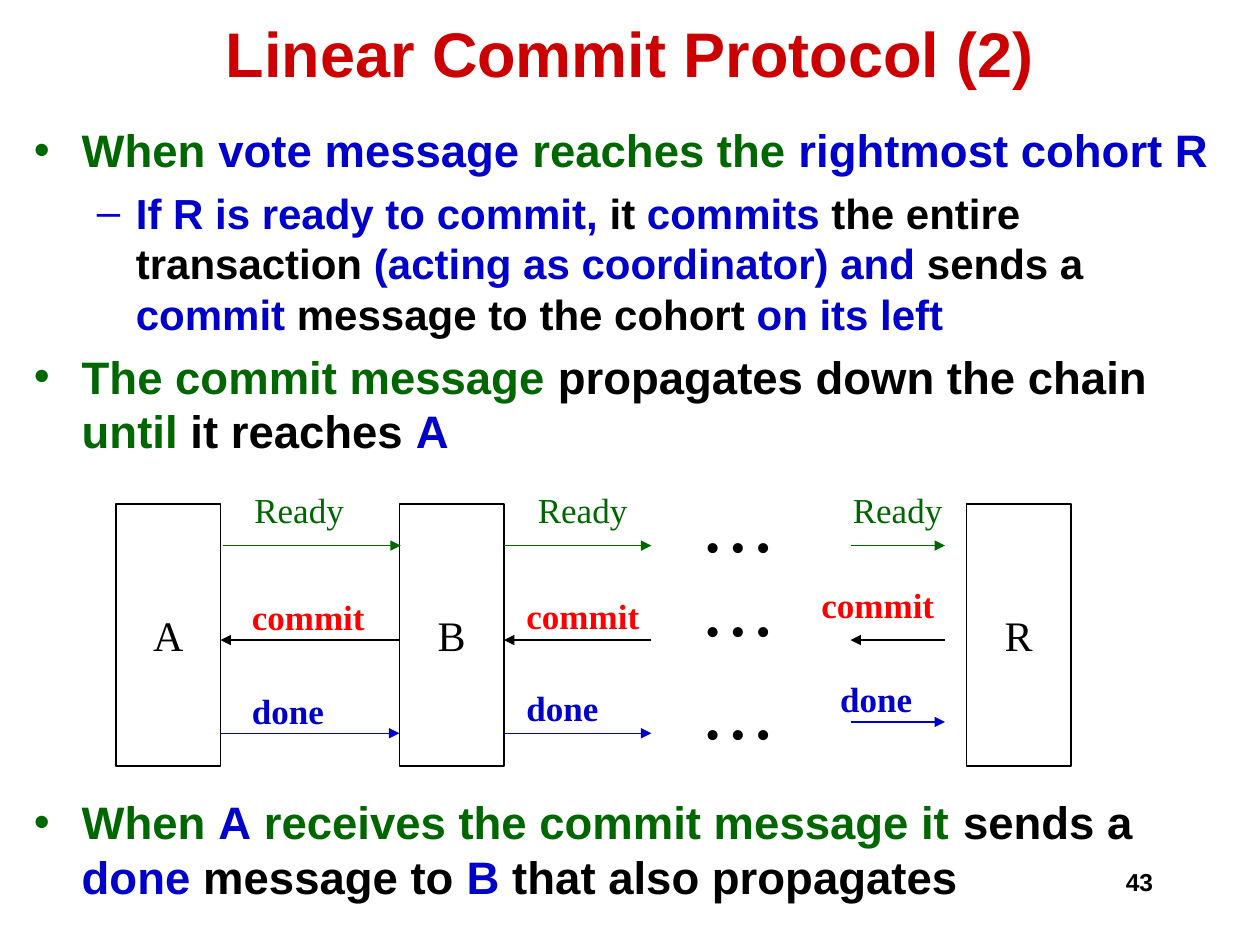
from dataclasses import dataclass

from lxml.etree import SubElement
from pptx import Presentation
from pptx.dml.color import RGBColor
from pptx.enum.shapes import MSO_CONNECTOR as Connector, MSO_SHAPE as Shape
from pptx.enum.text import MSO_ANCHOR as Anchor, MSO_AUTO_SIZE as AutoSize, PP_ALIGN as Align
from pptx.oxml.ns import qn
from pptx.util import Inches, Pt

GREEN, BLUE, BLACK, RED, TITLE_RED, WHITE = "006600", "0000CC", "000000", "FF0000", "CC0000", "FFFFFF"
SANS, SERIF = "Arial", "Times New Roman"
BOX_TOP, BOX_WIDTH, BOX_HEIGHT = 4, 0.83, 2.08


@dataclass
class Bullet:
    runs: list[tuple[str, str]]
    level: int = 0
    space_before: float = 6


@dataclass
class Label:
    left: float
    top: float


@dataclass
class Arrow:
    start: float
    end: float
    y: float


@dataclass
class MessageRow:
    text: str
    width: float
    text_color: str
    line_color: str
    bold: bool
    labels: list[Label]
    arrows: list[Arrow]
    dots_top: float


BULLETS = [
    Bullet([("When ", GREEN), ("vote message", BLUE), (" reaches the ", GREEN), ("rightmost cohort R", BLUE)]),
    Bullet([("If R is ready to commit, ", BLUE), ("it", BLACK), (" commits", BLUE),
            (" the entire transaction", BLACK), (" (acting as coordinator) and ", BLUE),
            ("sends a ", BLACK), ("commit", BLUE), (" message to the cohort ", BLACK),
            ("on its left", BLUE)], level=1),
    Bullet([("The commit message ", GREEN), ("propagates down the chain ", BLACK), ("until", GREEN),
            (" it reaches ", BLACK), ("A", BLUE)]),
    Bullet([("When ", GREEN), ("A", BLUE), (" receives the commit message it ", GREEN), ("sends a ", BLACK),
            ("done ", BLUE), ("message to ", BLACK), ("B ", BLUE), ("that also propagates", BLACK)],
           space_before=192),
]
LEVELS = [("•", 26, 0.38, -0.38), ("–", 24, 0.81, -0.31)]
SITES = {"A": 0.92, "B": 3.17, "R": 7.67}
ROWS = [
    MessageRow("Ready", 0.92, GREEN, GREEN, False,
               [Label(1.92, 3.83), Label(4.17, 3.83), Label(6.67, 3.83)],
               [Arrow(1.77, 3.18, 4.33), Arrow(4, 5.17, 4.33), Arrow(6.75, 7.5, 4.33)], 4.08),
    MessageRow("commit", 1.1, RED, BLACK, True,
               [Label(1.9, 4.68), Label(4.08, 4.67), Label(6.42, 4.58)],
               [Arrow(3.17, 1.75, 5.08), Arrow(5.17, 4, 5.08), Arrow(7.5, 6.75, 5.08)], 4.75),
    MessageRow("done", 0.78, BLUE, BLUE, True,
               [Label(1.9, 5.42), Label(4.08, 5.4), Label(6.57, 5.33)],
               [Arrow(1.75, 3.17, 5.82), Arrow(4, 5.17, 5.82), Arrow(6.75, 7.5, 5.73)], 5.57),
]


def rgb(color: str) -> RGBColor:
    """Turn a hex string into a colour."""
    return RGBColor.from_string(color)


def set_font(font, name: str, size: float, color: str, bold: bool = False) -> None:
    """Set the look of a font."""
    font.name, font.size, font.bold = name, Pt(size), bold
    font.color.rgb = rgb(color)


def add_text(slide, text: str, left: float, top: float, width: float, height: float,
             size: float, color: str, bold: bool = False, font: str = SERIF, align=Align.LEFT) -> None:
    """Add a one-line text box."""
    frame = slide.shapes.add_textbox(Inches(left), Inches(top), Inches(width), Inches(height)).text_frame
    frame.auto_size = AutoSize.NONE
    frame.word_wrap = align == Align.RIGHT
    paragraph = frame.paragraphs[0]
    paragraph.text, paragraph.alignment = text, align
    set_font(paragraph.font, font, size, color, bold)


def add_bullets(slide, bullets: list[Bullet]) -> None:
    """Add the bulleted body text."""
    frame = slide.shapes.add_textbox(Inches(0.17), Inches(0.92), Inches(9.58), Inches(6.58)).text_frame
    frame.word_wrap = True
    for index, bullet in enumerate(bullets):
        paragraph = frame.add_paragraph() if index else frame.paragraphs[0]
        mark, size, margin, indent = LEVELS[bullet.level]
        paragraph.level = bullet.level
        paragraph.space_before = Pt(bullet.space_before)
        properties = paragraph._p.get_or_add_pPr()
        properties.set("marL", str(Inches(margin)))
        properties.set("indent", str(Inches(indent)))
        SubElement(properties, qn("a:buFont")).set("typeface", SANS)
        SubElement(properties, qn("a:buChar")).set("char", mark)
        for text, color in bullet.runs:
            run = paragraph.add_run()
            run.text = text
            set_font(run.font, SANS, size, color, True)


def add_site(slide, name: str, left: float) -> None:
    """Add the box of one site."""
    shape = slide.shapes.add_shape(Shape.RECTANGLE, Inches(left), Inches(BOX_TOP),
                                   Inches(BOX_WIDTH), Inches(BOX_HEIGHT))
    shape.shadow.inherit = False
    shape.fill.solid()
    shape.fill.fore_color.rgb = rgb(WHITE)
    shape.line.color.rgb = rgb(BLACK)
    shape.line.width = Pt(0.75)
    frame = shape.text_frame
    frame.word_wrap, frame.vertical_anchor = False, Anchor.MIDDLE
    paragraph = frame.paragraphs[0]
    paragraph.text, paragraph.alignment = name, Align.CENTER
    set_font(paragraph.font, SERIF, 24, BLACK)


def add_arrow(slide, arrow: Arrow, color: str) -> None:
    """Add a horizontal arrow."""
    connector = slide.shapes.add_connector(Connector.STRAIGHT, Inches(arrow.start), Inches(arrow.y),
                                           Inches(arrow.end), Inches(arrow.y))
    connector.line.color.rgb = rgb(color)
    connector.line.width = Pt(0.75)
    SubElement(connector.line._get_or_add_ln(), qn("a:tailEnd")).set("type", "triangle")
    SubElement(connector._element.spPr, qn("a:effectLst"))


def add_row(slide, row: MessageRow) -> None:
    """Add the labels, arrows and dots of one kind of message."""
    for label in row.labels:
        add_text(slide, row.text, label.left, label.top, row.width, 0.44, 20, row.text_color, row.bold)
    for arrow in row.arrows:
        add_arrow(slide, arrow, row.line_color)
    add_text(slide, "• • •", 5.5, row.dots_top, 0.72, 0.5, 24, BLACK)


def add_title(slide, text: str) -> None:
    """Place and format the title."""
    title = slide.shapes.title
    title.left, title.top, title.width, title.height = Inches(0.75), Inches(0), Inches(8.5), Inches(0.83)
    title.text_frame.vertical_anchor = Anchor.MIDDLE
    paragraph = title.text_frame.paragraphs[0]
    paragraph.text, paragraph.alignment = text, Align.CENTER
    set_font(paragraph.font, SANS, 36, TITLE_RED, True)


def main() -> None:
    """Build and save the slide."""
    presentation = Presentation()
    presentation.slide_width, presentation.slide_height = Inches(10), Inches(7.5)
    slide = presentation.slides.add_slide(presentation.slide_layouts[5])
    add_text(slide, "43", 7.17, 6.83, 2.08, 0.5, 14, BLACK, True, SANS, Align.RIGHT)
    add_title(slide, "Linear Commit Protocol (2)")
    add_bullets(slide, BULLETS)
    for name, left in SITES.items():
        add_site(slide, name, left)
    for row in ROWS:
        add_row(slide, row)
    presentation.save("out.pptx")


main()
